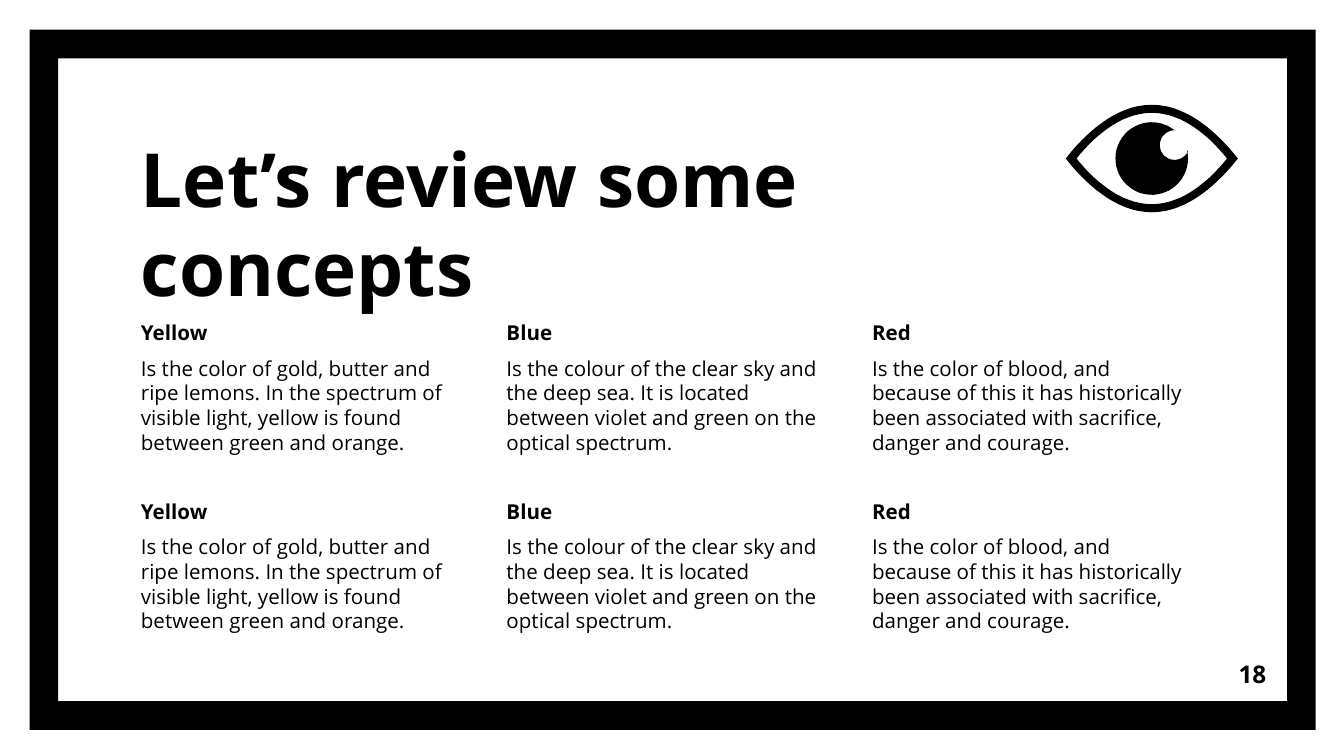
from math import cos, radians, sin

from pptx import Presentation
from pptx.dml.color import RGBColor
from pptx.enum.shapes import MSO_SHAPE as Shape
from pptx.enum.text import MSO_ANCHOR as Anchor, PP_ALIGN as Align
from pptx.util import Inches, Pt

# Content
TITLE = "Let’s review some concepts"
CONCEPTS = [
    ("Yellow", "Is the color of gold, butter and ripe lemons. In the spectrum of "
               "visible light, yellow is found between green and orange."),
    ("Blue", "Is the colour of the clear sky and the deep sea. It is located "
             "between violet and green on the optical spectrum."),
    ("Red", "Is the color of blood, and because of this it has historically been "
            "associated with sacrifice, danger and courage."),
]
PAGE_NUMBER = "18"

# Theme and grid, lengths in inches
THEME = {"ink": RGBColor(0, 0, 0), "paper": RGBColor(255, 255, 255),
         "font": "Open Sans", "title": 40, "body": 11, "number": 13,
         "leading": 1.2, "gap": 6}
WIDTH = 10
HEIGHT = WIDTH * 9 / 16
MARGIN = 0.22
LEFT, TOP = 0.95, 2.28
COLUMN_STEP, ROW_STEP, ROWS = 2.72, 1.33, 2
CELL_WIDTH, CELL_HEIGHT = 2.59, 1.54
EYE_X, EYE_Y = 8.57, 1.18
UNITS = 1000  # freeform units per inch


def paint(shape):
    shape.shadow.inherit = False
    shape.fill.solid()
    shape.fill.fore_color.rgb = THEME["ink"]
    shape.line.fill.background()


def add_text(slide, box, lines, size, anchor=Anchor.TOP, align=Align.LEFT, gap=0):
    """Add a text box whose first line is bold."""
    frame = slide.shapes.add_textbox(*map(Inches, box)).text_frame
    frame.word_wrap = True
    frame.vertical_anchor = anchor
    frame.margin_left = frame.margin_right = Inches(0.1)
    frame.margin_top = frame.margin_bottom = Inches(0.1)
    frame.text = "\n".join(lines)
    for index, paragraph in enumerate(frame.paragraphs):
        paragraph.alignment = align
        paragraph.space_before = Pt(gap)
        paragraph.line_spacing = Pt(size * THEME["leading"])
        font = paragraph.runs[0].font
        font.name, font.size, font.bold = THEME["font"], Pt(size), index == 0
        font.color.rgb = THEME["ink"]


def almond(half_width, half_height, steps=16):
    """Eyelid outline: one Bezier quarter mirrored into four."""
    controls = [(-1, 0), (-0.79, 0.43), (-0.43, 1), (0, 1)]
    quarter = []
    for step in range(steps + 1):
        t = step / steps
        weights = ((1 - t) ** 3, 3 * t * (1 - t) ** 2, 3 * t * t * (1 - t), t ** 3)
        quarter.append([sum(w * point[axis] for w, point in zip(weights, controls))
                        for axis in (0, 1)])
    upper = quarter + [(-x, y) for x, y in quarter[-2::-1]]
    lower = [(x, -y) for x, y in upper[-2:0:-1]]
    return [(EYE_X + x * half_width, EYE_Y - y * half_height) for x, y in upper + lower]


def arc(x, y, radius, start, end, steps=48):
    angles = [radians(start + (end - start) * i / steps) for i in range(steps + 1)]
    return [(x + radius * cos(a), y + radius * sin(a)) for a in angles]


def add_outline(slide, *contours):
    scaled = [[(x * UNITS, y * UNITS) for x, y in contour] for contour in contours]
    builder = slide.shapes.build_freeform(*scaled[0][0], scale=Inches(1) / UNITS)
    for index, contour in enumerate(scaled):
        if index:
            builder.move_to(*contour[0])
        builder.add_line_segments(contour[1:], close=True)
    paint(builder.convert_to_shape())


def main():
    deck = Presentation()
    deck.slide_width, deck.slide_height = Inches(WIDTH), Inches(HEIGHT)
    slide = deck.slides.add_slide(deck.slide_layouts[6])
    slide.background.fill.solid()
    slide.background.fill.fore_color.rgb = THEME["paper"]

    # Border
    border = slide.shapes.add_shape(
        Shape.FRAME, Inches(MARGIN), Inches(MARGIN), Inches(9.57), Inches(5.21))
    border.adjustments[0] = 0.041
    paint(border)

    # Title and concept grid
    add_text(slide, (LEFT, 0.93, 5.57, 1.49), [TITLE], THEME["title"], Anchor.BOTTOM)
    for row in range(ROWS):
        for column, concept in enumerate(CONCEPTS):
            cell = (LEFT + column * COLUMN_STEP, TOP + row * ROW_STEP,
                    CELL_WIDTH, CELL_HEIGHT)
            add_text(slide, cell, concept, THEME["body"], gap=THEME["gap"])

    # Eye: lids, then iris with a round glint cut out
    add_outline(slide, almond(0.64, 0.4), almond(0.56, 0.34)[::-1])
    iris = arc(EYE_X, EYE_Y, 0.27, -13, -52 + 360)
    glint = arc(8.74, 1.08, 0.11, 270, 24)
    add_outline(slide, iris + glint)

    # Page number
    add_text(slide, (8.92, 4.8, 0.6, 0.43), [PAGE_NUMBER], THEME["number"],
             Anchor.MIDDLE, Align.RIGHT)
    deck.save("out.pptx")


if __name__ == "__main__":
    main()
